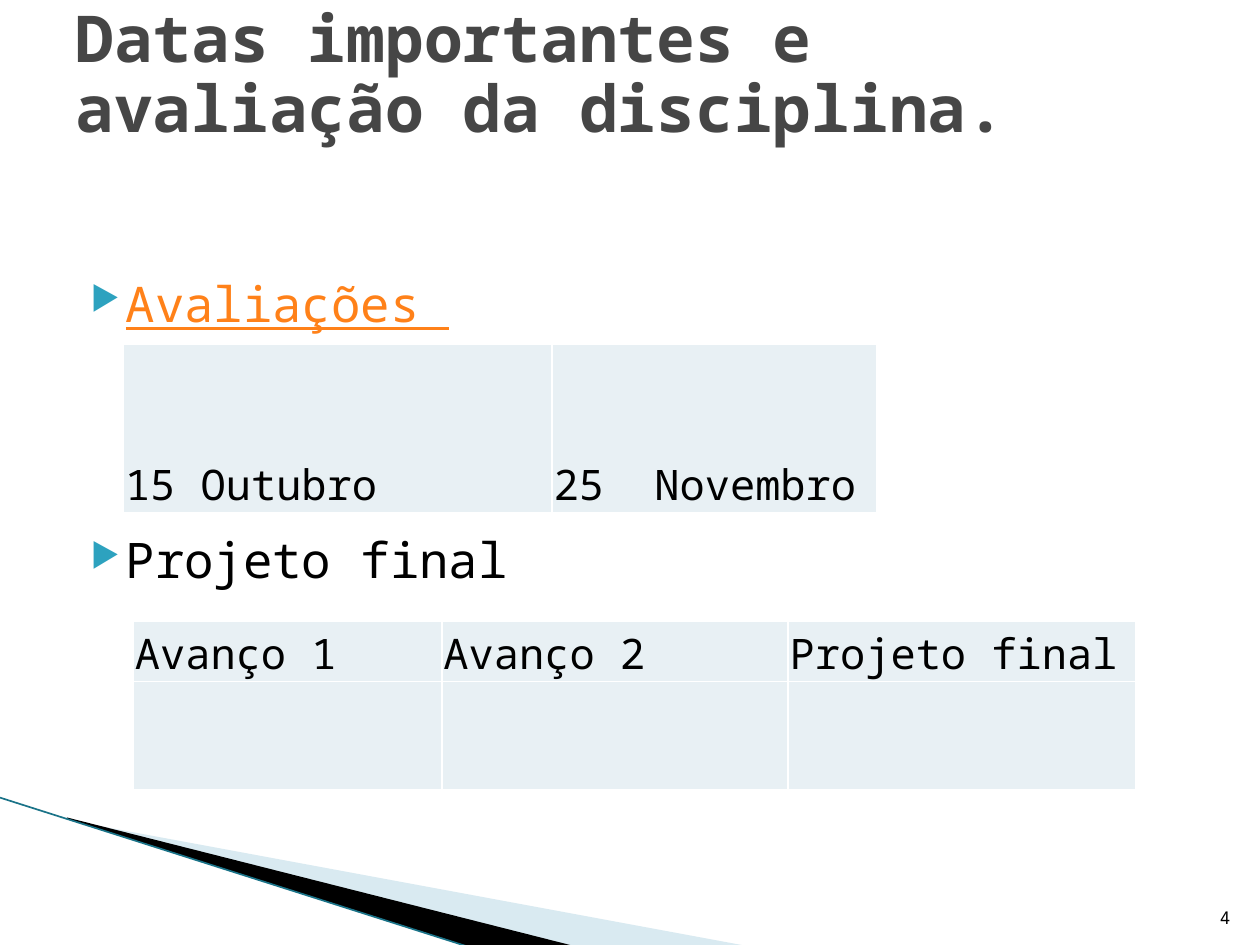
from pptx import Presentation
from pptx.dml.color import RGBColor
from pptx.enum.shapes import MSO_CONNECTOR
from pptx.enum.text import MSO_ANCHOR, PP_ALIGN
from pptx.oxml.ns import qn
from pptx.util import Cm, Pt
from lxml.etree import SubElement

FONT = "Noto Sans Mono"
BLACK, WHITE, GREY = "000000", "FFFFFF", "464646"
ORANGE, TEAL, DARK_TEAL = "FF8119", "2DA2BF", "1A7388"
PALE_BLUE, CELL_BLUE = "A0CBDC", "E8F0F4"


def color(value):
    """Turn a hex string into a colour."""
    return RGBColor.from_string(value)


def style(para, size, tint=BLACK, bold=False, underline=False):
    """Format every run of a paragraph."""
    for span in para.runs:
        font = span.font
        font.name, font.size = FONT, Pt(size)
        font.bold, font.underline = bold, underline
        font.color.rgb = color(tint)


def add_text_frame(page, box, anchor):
    """Add a wrapping text box and return its frame."""
    frame = page.shapes.add_textbox(*map(Cm, box)).text_frame
    frame.word_wrap = True
    frame.vertical_anchor = anchor
    return frame


def add_bullet(para):
    """Give a paragraph a hanging teal triangle."""
    props = para._p.get_or_add_pPr()
    props.set("marL", str(Cm(1.02)))
    props.set("indent", str(Cm(-0.71)))
    SubElement(SubElement(props, qn("a:buClr")), qn("a:srgbClr"), val=TEAL)
    SubElement(props, qn("a:buSzPct"), val="68000")
    SubElement(props, qn("a:buChar"), char="▶")


def add_wedge(page, left, top, points, fill, alpha=100):
    """Draw a closed sliver whose points are relative to left and top."""
    corners = [(Cm(left + x), Cm(top + y)) for x, y in points]
    builder = page.shapes.build_freeform(*corners[0])
    builder.add_line_segments(corners[1:], close=True)
    wedge = builder.convert_to_shape()
    wedge.shadow.inherit = False
    wedge.fill.solid()
    wedge.fill.fore_color.rgb = color(fill)
    wedge.line.fill.background()
    if alpha < 100:
        tint = wedge._element.spPr.find(qn("a:solidFill"))[0]
        SubElement(tint, qn("a:alpha"), val=str(alpha * 1000))


def add_corner(page, box):
    """Draw the slanted decoration at the bottom left."""
    left, top, width, height = box
    add_wedge(page, left, top,
              [(1.4, 0.46), (width, height), (11.58, height), (1.4, 0.43)],
              PALE_BLUE, 40)
    add_wedge(page, left, top,
              [(1.35, 0.4), (11.61, height), (9.45, height), (1.37, 0.43)], BLACK)
    edge = page.shapes.add_connector(
        MSO_CONNECTOR.STRAIGHT, Cm(left), Cm(top), Cm(left + 9.42), Cm(top + height))
    edge.line.color.rgb = color(DARK_TEAL)
    edge.line.width = Pt(0.95)
    SubElement(edge._element.spPr, qn("a:effectLst"))


def add_title(page, box, text):
    """Write the heading in the upper part of its box."""
    frame = add_text_frame(page, box, MSO_ANCHOR.MIDDLE)
    frame.margin_top, frame.margin_bottom = 0, Cm(1.6)
    para = frame.paragraphs[0]
    para.text = text
    para.line_spacing = 0.9
    style(para, 36.9, GREY, bold=True)


def add_topics(page, box):
    """Write the two bulleted topics, spaced to leave room for a table."""
    frame = add_text_frame(page, box, MSO_ANCHOR.TOP)
    frame.margin_top = Cm(1.4)
    reviews, project = frame.paragraphs[0], frame.add_paragraph()
    reviews.text, project.text = "Avaliações ", "Projeto final"
    project.space_before = Pt(113)
    style(reviews, 28, ORANGE, underline=True)
    style(project, 28)
    for para in (reviews, project):
        add_bullet(para)


def add_page_number(page, box, number):
    """Write the page number at the bottom right of its box."""
    frame = add_text_frame(page, box, MSO_ANCHOR.BOTTOM)
    para = frame.paragraphs[0]
    para.text = number
    para.alignment = PP_ALIGN.RIGHT
    style(para, 10)


def format_cell(cell, text):
    """Fill, frame and label one table cell."""
    props = cell._tc.get_or_add_tcPr()
    for side in ("a:lnL", "a:lnR", "a:lnT", "a:lnB"):
        border = SubElement(props, qn(side), w=str(Pt(1)))
        SubElement(SubElement(border, qn("a:solidFill")), qn("a:srgbClr"), val=WHITE)
    cell.fill.solid()
    cell.fill.fore_color.rgb = color(CELL_BLUE)
    cell.vertical_anchor = MSO_ANCHOR.BOTTOM
    cell.margin_left = cell.margin_right = cell.margin_top = Cm(0.03)
    cell.margin_bottom = 0
    cell.text_frame.text = text
    style(cell.text_frame.paragraphs[0], 24)


def add_dates_table(page, left, top, widths, heights, rows):
    """Add a plain table with the given column widths and row heights."""
    table = page.shapes.add_table(
        len(heights), len(widths), Cm(left), Cm(top),
        Cm(sum(widths)), Cm(sum(heights))).table
    table.first_row = table.horz_banding = False
    for column, width in zip(table.columns, widths):
        column.width = Cm(width)
    for row, height, texts in zip(table.rows, heights, rows):
        row.height = Cm(height)
        for cell, text in zip(row.cells, texts):
            format_cell(cell, text)


def main():
    """Build the slide and save it."""
    deck = Presentation()
    deck.slide_width, deck.slide_height = Cm(25.4), Cm(19.05)
    page = deck.slides.add_slide(deck.slide_layouts[6])
    add_corner(page, (0, 16.08, 15.11, 3))
    add_topics(page, (1.27, 4.11, 22.86, 12.57))
    add_page_number(page, (24.03, 17.81, 1.02, 1.02), "4")
    add_title(page, (1.27, 0.76, 22.86, 3.18),
              "Datas importantes e avaliação da disciplina.")
    add_dates_table(page, 2.49, 6.93, [8.64, 6.55], [3.4],
                    [["15 Outubro", "25  Novembro"]])
    add_dates_table(page, 2.69, 12.52, [6.22, 6.98, 7.01], [1.22, 2.18],
                    [["Avanço 1", "Avanço 2", "Projeto final"], [""] * 3])
    deck.save("out.pptx")


if __name__ == "__main__":
    main()
